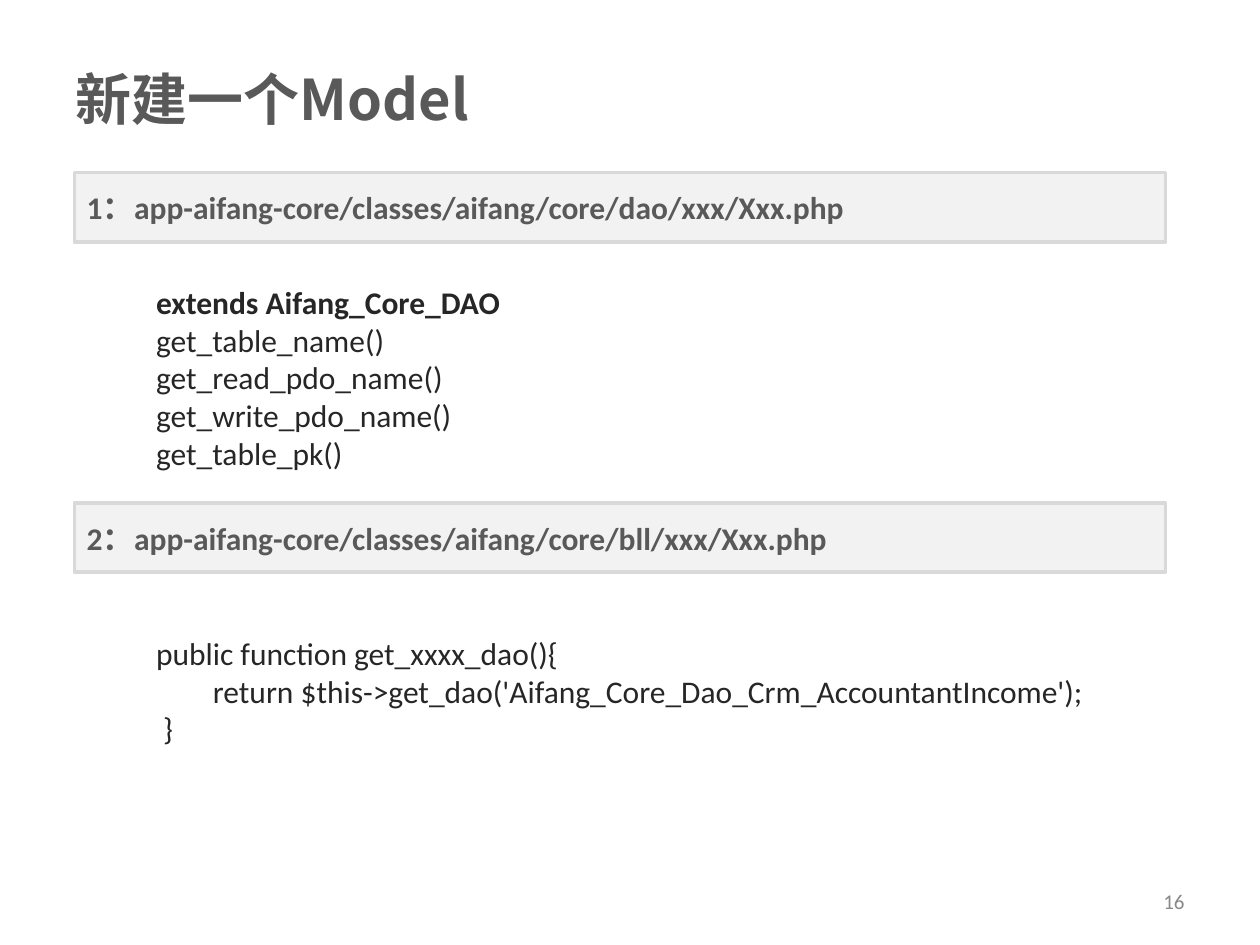
import dataclasses

import lxml.etree
import pptx
import pptx.dml.color
import pptx.enum.shapes
import pptx.enum.text
import pptx.oxml.ns
import pptx.util

Inches = pptx.util.Inches
Align = pptx.enum.text.PP_ALIGN


@dataclasses.dataclass(frozen=True)
class Theme:
    heading: str = "595959"
    code: str = "262626"
    number: str = "898989"
    bar_fill: str = "F2F2F2"
    bar_line: str = "D9D9D9"
    paper: str = "FFFFFF"
    latin: str = "Calibri"
    chinese: str = "Noto Sans CJK SC"
    title_size: int = 32
    body_size: int = 18
    number_size: int = 12


THEME = Theme()


def rgb(value):
    return pptx.dml.color.RGBColor.from_string(value)


def write_lines(shape, lines, size, color, bold_lines=0, font=THEME.latin, align=Align.LEFT):
    frame = shape.text_frame
    frame.word_wrap = True
    frame.vertical_anchor = pptx.enum.text.MSO_ANCHOR.MIDDLE
    frame.text = "\n".join(lines)
    for index, para in enumerate(frame.paragraphs):
        para.alignment = align
        para.font.size = pptx.util.Pt(size)
        para.font.bold = index < bold_lines
        para.font.color.rgb = rgb(color)
        para.font.name = font
        properties = para._p.pPr.find(pptx.oxml.ns.qn("a:defRPr"))
        east_asian = lxml.etree.SubElement(properties, pptx.oxml.ns.qn("a:ea"))
        east_asian.set("typeface", THEME.chinese)


def add_panel(page, box, fill, line=None):
    panel = page.shapes.add_shape(pptx.enum.shapes.MSO_SHAPE.RECTANGLE, *map(Inches, box))
    panel.shadow.inherit = False
    panel.fill.solid()
    panel.fill.fore_color.rgb = rgb(fill)
    if line:
        panel.line.color.rgb = rgb(line)
        panel.line.width = pptx.util.Pt(2)
    else:
        panel.line.fill.background()
    return panel


def add_title(page, box, text):
    title = page.shapes.add_textbox(*map(Inches, box))
    write_lines(title, [text], THEME.title_size, THEME.heading, 1, THEME.chinese)


def add_page_number(page, box, number):
    label = page.shapes.add_textbox(*map(Inches, box))
    write_lines(label, [str(number)], THEME.number_size, THEME.number, align=Align.RIGHT)


def add_path_bar(page, box, text):
    bar = add_panel(page, box, THEME.bar_fill, THEME.bar_line)
    write_lines(bar, [text], THEME.body_size, THEME.heading, 1)


def add_code(page, box, lines, bold_lines=0):
    panel = add_panel(page, box, THEME.paper)
    write_lines(panel, lines, THEME.body_size, THEME.code, bold_lines)


def main():
    deck = pptx.Presentation()
    deck.slide_width, deck.slide_height = Inches(10), Inches(7.5)
    page = deck.slides.add_slide(deck.slide_layouts[6])
    add_title(page, (0.5, 0.3, 9, 0.95), "新建一个Model")
    add_page_number(page, (7.17, 6.95, 2.33, 0.4), 16)
    add_code(page, (1.14, 2.16, 6.94, 1.67), [
        "extends Aifang_Core_DAO",
        "get_table_name()",
        "get_read_pdo_name()",
        "get_write_pdo_name()",
        "get_table_pk()",
    ], bold_lines=1)
    add_code(page, (1.14, 4.77, 7.72, 1.42), [
        "public function get_xxxx_dao(){",
        "        return $this->get_dao('Aifang_Core_Dao_Crm_AccountantIncome');",
        " }",
    ])
    for step, (top, layer) in enumerate([(1.37, "dao"), (3.99, "bll")], 1):
        add_path_bar(page, (0.59, top, 8.66, 0.55),
                     f"{step}：app-aifang-core/classes/aifang/core/{layer}/xxx/Xxx.php")
    deck.save("out.pptx")


if __name__ == "__main__":
    main()
